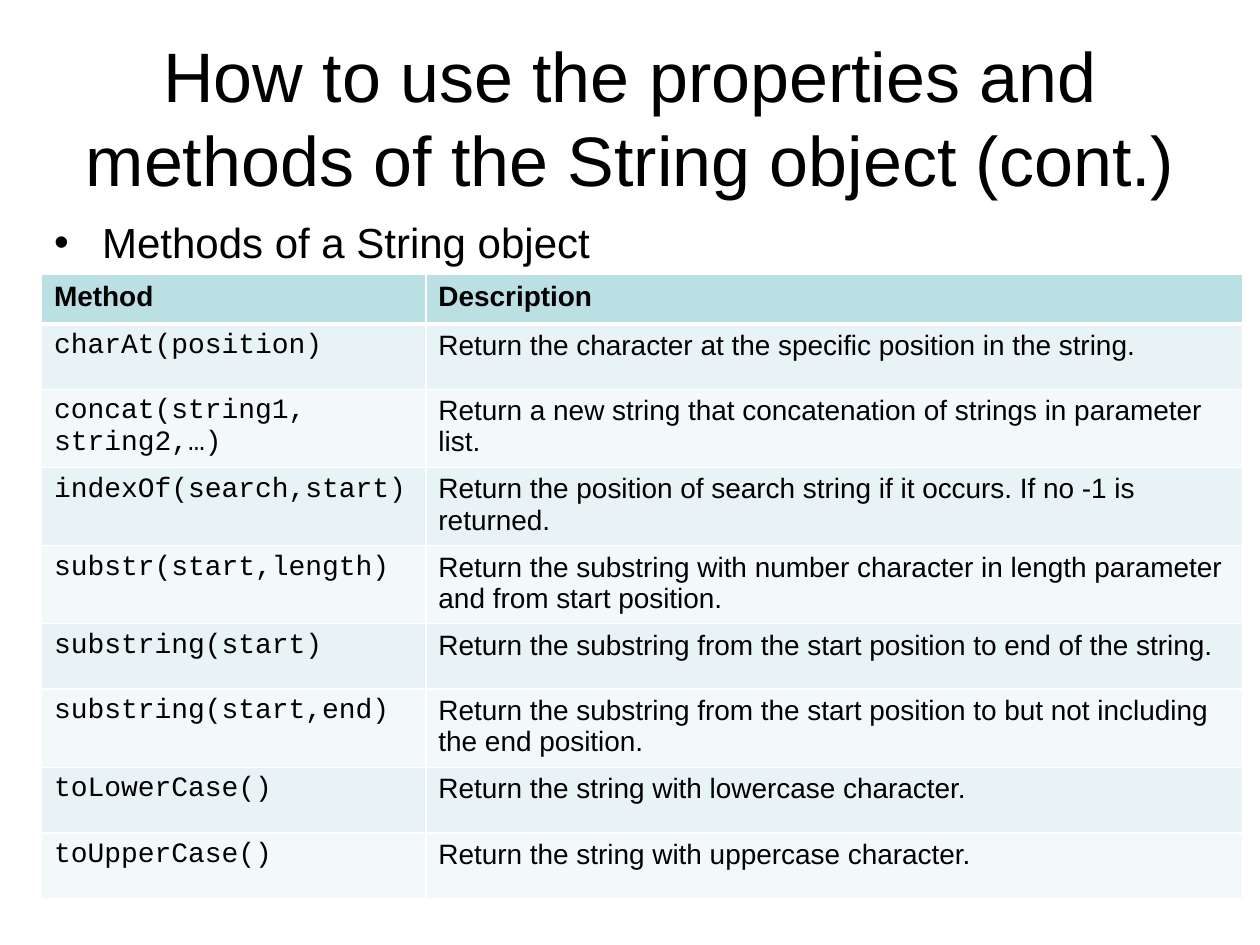
from lxml.etree import SubElement
from pptx import Presentation
from pptx.dml.color import RGBColor
from pptx.enum.text import MSO_ANCHOR, MSO_AUTO_SIZE, PP_ALIGN
from pptx.oxml.ns import qn
from pptx.util import Inches, Pt

WIDTH, HEIGHT = Inches(10), Inches(7.5)
BLACK = RGBColor(0x00, 0x00, 0x00)
WHITE = RGBColor(0xFF, 0xFF, 0xFF)
HEADER = RGBColor(0xBB, 0xE0, 0xE3)
BANDS = RGBColor(0xE7, 0xF3, 0xF4), RGBColor(0xF3, 0xF9, 0xFA)
SANS, MONO = "Arial", "Courier New"

COLUMNS = 30.5, 64.8
HEADER_ROW, SHORT_ROW, TALL_ROW = 5.2, 6.93, 8.27
METHODS = [
    ("charAt(position)", "Return the character at the specific position in the string.", SHORT_ROW),
    ("concat(string1, string2,…)", "Return a new string that concatenation of strings in parameter list.", TALL_ROW),
    ("indexOf(search,start)", "Return the position of search string if it occurs. If no -1 is returned.", TALL_ROW),
    ("substr(start,length)", "Return the substring with number character in length parameter and from start position.", TALL_ROW),
    ("substring(start)", "Return the substring from the start position to end of the string.", SHORT_ROW),
    ("substring(start,end)", "Return the substring from the start position to but not including the end position.", TALL_ROW),
    ("toLowerCase()", "Return the string with lowercase character.", SHORT_ROW),
    ("toUpperCase()", "Return the string with uppercase character.", SHORT_ROW),
]


def across(percent):
    return round(WIDTH * percent / 100)


def down(percent):
    return round(HEIGHT * percent / 100)


def format_text(tf, size, font=SANS, bold=False):
    for p in tf.paragraphs:
        for r in p.runs:
            r.font.size = Pt(size)
            r.font.name = font
            r.font.bold = bold
            r.font.color.rgb = BLACK


def fill_placeholder(sp, text, size, left, top, width, height):
    sp.left, sp.top = across(left), down(top)
    sp.width, sp.height = across(width), down(height)
    tf = sp.text_frame
    tf.text = text
    tf.word_wrap = True
    tf.auto_size = MSO_AUTO_SIZE.NONE
    format_text(tf, size)
    return tf


def add_title(s, text):
    tf = fill_placeholder(s.shapes.title, text, 40, 5, 4, 90, 16.67)
    tf.vertical_anchor = MSO_ANCHOR.MIDDLE
    tf.paragraphs[0].alignment = PP_ALIGN.CENTER


def add_bullet(s, text):
    tf = fill_placeholder(s.placeholders[1], text, 24, 3.3, 22.27, 90, 66)
    tf.vertical_anchor = MSO_ANCHOR.TOP
    pPr = tf.paragraphs[0]._p.get_or_add_pPr()
    pPr.set("marL", str(Inches(0.38)))
    pPr.set("indent", str(Inches(-0.38)))
    color = SubElement(pPr, qn("a:buClr"))
    SubElement(color, qn("a:srgbClr"), val=str(BLACK))
    SubElement(pPr, qn("a:buFont"), typeface=SANS)
    SubElement(pPr, qn("a:buChar"), char="•")


def set_borders(cell, top=1, bottom=1):
    tcPr = cell._tc.get_or_add_tcPr()
    for side, width in (("L", 1), ("R", 1), ("T", top), ("B", bottom)):
        line = SubElement(tcPr, qn(f"a:ln{side}"), w=str(Pt(width)))
        fill = SubElement(line, qn("a:solidFill"))
        SubElement(fill, qn("a:srgbClr"), val=str(WHITE))


def fill_cell(cell, text, color, font=SANS, bold=False, top=1, bottom=1):
    cell.text = text
    format_text(cell.text_frame, 16, font, bold)
    set_borders(cell, top, bottom)
    cell.fill.solid()
    cell.fill.fore_color.rgb = color


def add_method_table(s):
    heights = [HEADER_ROW] + [height for _, _, height in METHODS]
    frame = s.shapes.add_table(len(heights), len(COLUMNS), across(3.3), down(29.07),
                               across(sum(COLUMNS)), down(sum(heights)))
    table = frame.table
    for column, width in zip(table.columns, COLUMNS):
        column.width = across(width)
    for row, height in zip(table.rows, heights):
        row.height = down(height)
    for col, heading in enumerate(("Method", "Description")):
        fill_cell(table.cell(0, col), heading, HEADER, bold=True, bottom=3)
    for i, (method, description, _) in enumerate(METHODS):
        band, top = BANDS[i % 2], 1 if i else 3
        fill_cell(table.cell(i + 1, 0), method, band, MONO, top=top)
        fill_cell(table.cell(i + 1, 1), description, band, top=top)


def main():
    prs = Presentation()
    prs.slide_width, prs.slide_height = WIDTH, HEIGHT
    s = prs.slides.add_slide(prs.slide_layouts[1])
    s.background.fill.solid()
    s.background.fill.fore_color.rgb = WHITE
    add_title(s, "How to use the properties and methods of the String object (cont.)")
    add_bullet(s, "Methods of a String object")
    add_method_table(s)
    prs.save("out.pptx")


main()
